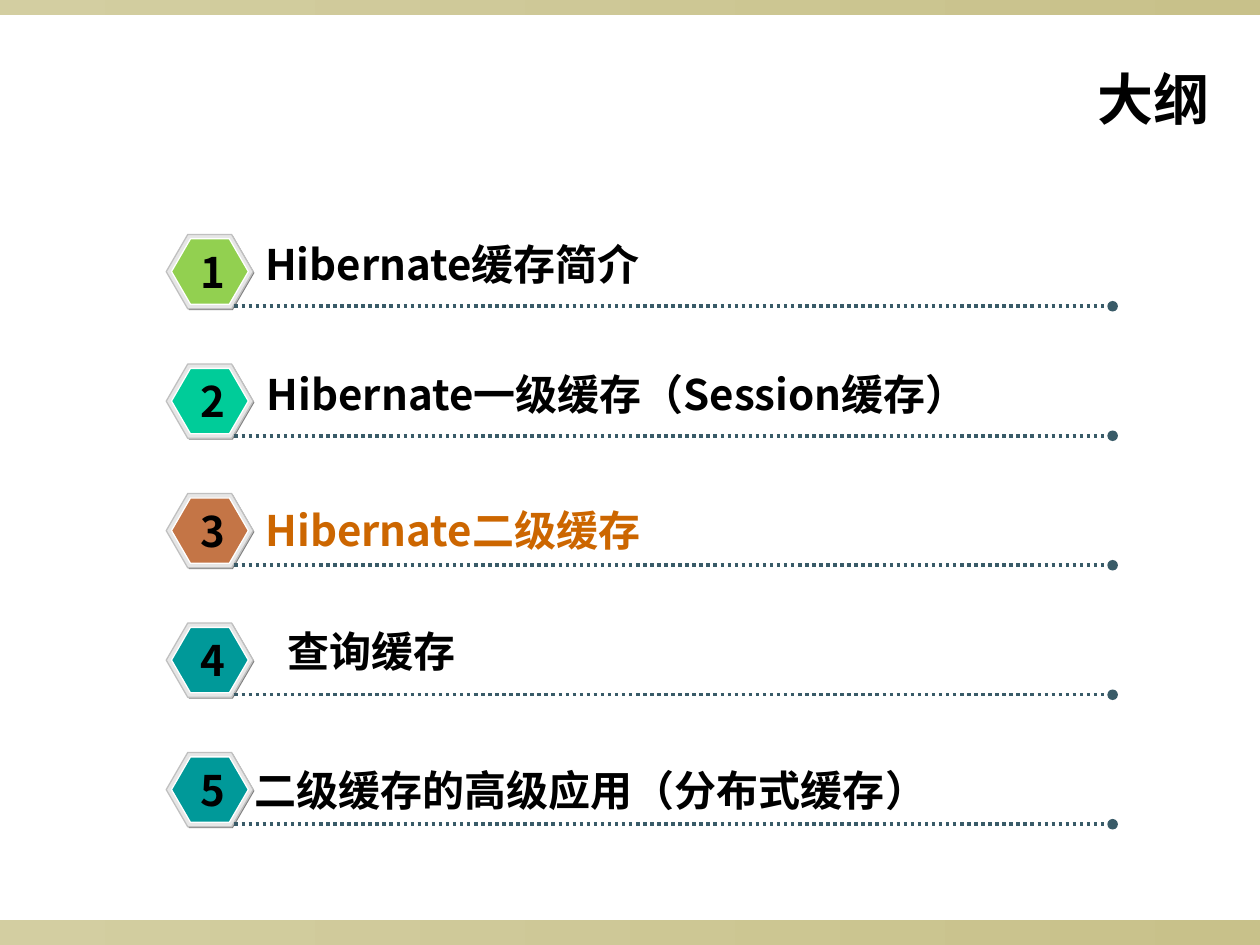
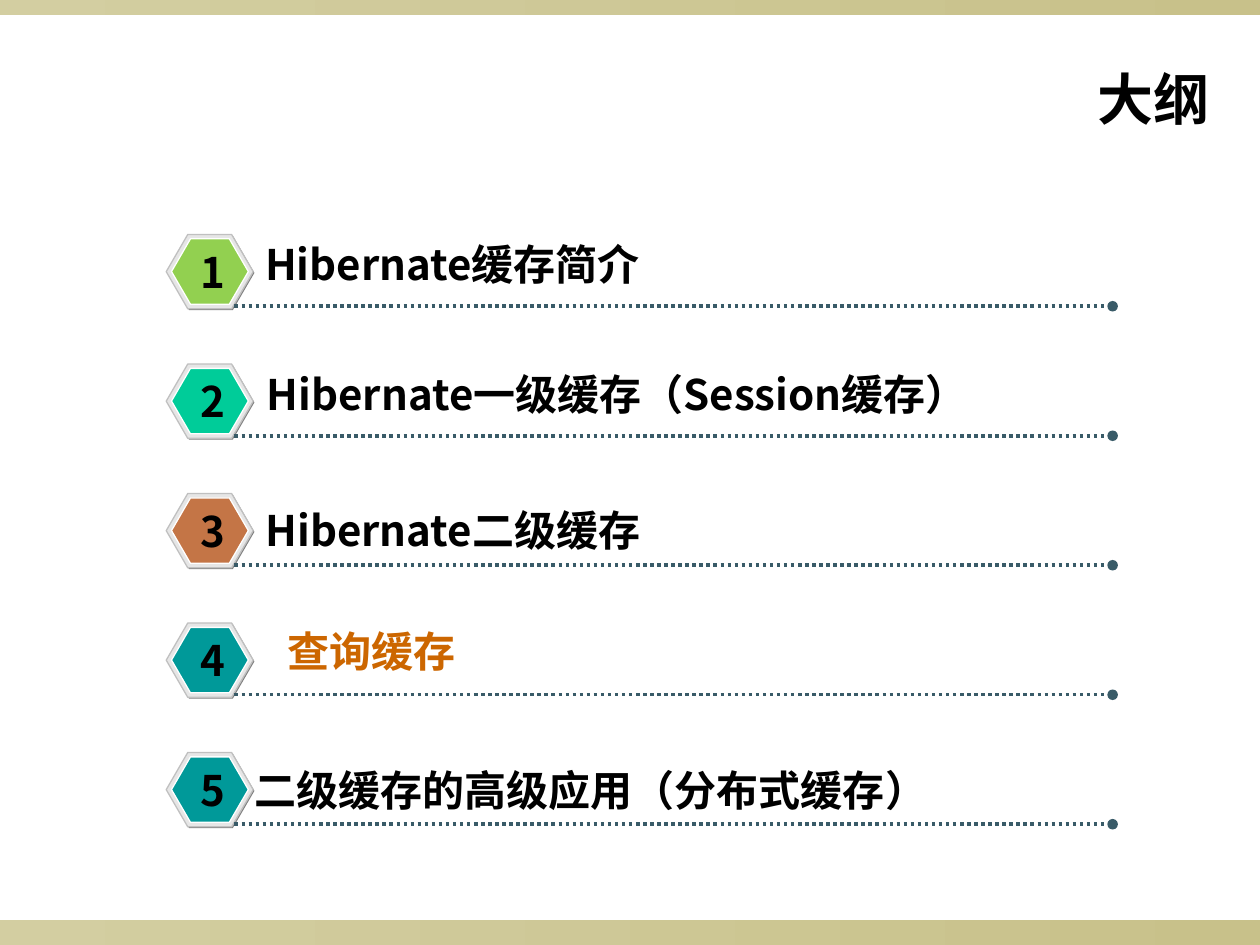
"""Build the two outline slides, each highlighting one chapter."""
from dataclasses import dataclass

from lxml import etree
from pptx import Presentation
from pptx.dml.color import RGBColor
from pptx.enum.dml import MSO_LINE
from pptx.enum.shapes import MSO_CONNECTOR, MSO_SHAPE
from pptx.enum.text import MSO_ANCHOR, MSO_AUTO_SIZE, PP_ALIGN
from pptx.oxml.ns import qn
from pptx.util import Pt

RECTANGLE = MSO_SHAPE.RECTANGLE
HEXAGON = MSO_SHAPE.HEXAGON
STRAIGHT = MSO_CONNECTOR.STRAIGHT
DOTTED = MSO_LINE.ROUND_DOT
MIDDLE = MSO_ANCHOR.MIDDLE
TOP = MSO_ANCHOR.TOP
RIGHT = PP_ALIGN.RIGHT
GROW = MSO_AUTO_SIZE.SHAPE_TO_FIT_TEXT
TITLE_ONLY = 5


@dataclass(frozen=True)
class Theme:
    text: str = "000000"
    highlight: str = "CC6600"
    band_start: str = "D3CEA1"
    band_end: str = "C8C18A"
    badge_shadow: str = "808080"
    badge_rim: str = "E6E6E6"
    badge_edge: str = "C0C0C0"
    badge_inner_edge: str = "FFFFFF"
    rule: str = "395B68"
    title_font: str = "Arial"
    body_font: str = "Noto Sans CJK SC"
    title_size: int = 32
    body_size: int = 24


@dataclass(frozen=True)
class Chapter:
    label: str
    color: str
    left: float
    rise: float


SLIDE_WIDTH, SLIDE_HEIGHT = 720, 540
TITLE = "大纲"
CHAPTERS = [
    Chapter("Hibernate缓存简介", "92D050", 144.4, -1.5),
    Chapter("Hibernate一级缓存（Session缓存）", "00CC99", 145.4, -1.2),
    Chapter("Hibernate二级缓存", "C47546", 144.7, 2.5),
    Chapter("查询缓存", "009999", 157.3, -1.8),
    Chapter("二级缓存的高级应用（分布式缓存）", "009999", 138.6, 3.4),
]
HIGHLIGHTED_CHAPTERS = [3, 4]
FIRST_ROW_TOP, ROW_STEP = 134, 74
BADGE_LEFT, BADGE_WIDTH, BADGE_HEIGHT = 95, 49.7, 42.5
NUMBER_LEFT, NUMBER_DROP, NUMBER_WIDTH = 107.2, 3.2, 25.2
RULE_LEFT, RULE_RIGHT, RULE_DROP = 134, 635.8, 41
LABEL_WIDTH, TEXT_HEIGHT = 480, 36


class OutlineDeck:
    def __init__(self, theme):
        self.theme = theme
        self.presentation = Presentation()
        self.presentation.slide_width = Pt(SLIDE_WIDTH)
        self.presentation.slide_height = Pt(SLIDE_HEIGHT)
        self.slide = None

    def add_slide(self):
        layout = self.presentation.slide_layouts[TITLE_ONLY]
        self.slide = self.presentation.slides.add_slide(layout)
        self.add_band(525.6, 14.4)
        self.add_band(0, 8.64)

    def add_band(self, top, height):
        band = self.slide.shapes.add_shape(RECTANGLE, 0, Pt(top), Pt(SLIDE_WIDTH), Pt(height))
        band.shadow.inherit = False
        band.line.fill.background()
        band.fill.gradient()
        band.fill.gradient_angle = 0
        colors = (self.theme.band_start, self.theme.band_end)
        for stop, color in zip(band.fill.gradient_stops, colors):
            stop.color.rgb = RGBColor.from_string(color)

    def format_text(self, paragraph, font_name, size, color):
        for run in paragraph.runs:
            font = run.font
            font.name = font_name
            font.size = Pt(size)
            font.bold = True
            font.color.rgb = RGBColor.from_string(color)
            east_asian = etree.SubElement(font._element, qn("a:ea"))
            east_asian.set("typeface", self.theme.body_font)

    def add_title(self, text):
        title = self.slide.shapes.title
        title.left, title.top, title.width, title.height = Pt(50.4), 0, Pt(648), Pt(111.6)
        frame = title.text_frame
        frame.text = text
        frame.vertical_anchor = MIDDLE
        frame.margin_left, frame.margin_right = Pt(8.64), Pt(7.2)
        paragraph = frame.paragraphs[0]
        paragraph.alignment = RIGHT
        self.format_text(paragraph, self.theme.title_font, self.theme.title_size, self.theme.text)

    def add_text(self, text, left, top, width, color):
        box = self.slide.shapes.add_textbox(Pt(left), Pt(top), Pt(width), Pt(TEXT_HEIGHT))
        frame = box.text_frame
        frame.text = text
        frame.word_wrap = True
        frame.auto_size = GROW
        frame.vertical_anchor = TOP
        self.format_text(frame.paragraphs[0], self.theme.body_font, self.theme.body_size, color)

    def add_hexagon(self, group, left, top, width, height, fill, edge=None):
        hexagon = group.shapes.add_shape(HEXAGON, Pt(left), Pt(top), Pt(width), Pt(height))
        hexagon.adjustments[0] = 0.29
        hexagon.shadow.inherit = False
        hexagon.fill.solid()
        hexagon.fill.fore_color.rgb = RGBColor.from_string(fill)
        if edge:
            hexagon.line.color.rgb = RGBColor.from_string(edge)
            hexagon.line.width = Pt(0.75)
        else:
            hexagon.line.fill.background()

    def add_badge(self, top, color):
        theme = self.theme
        group = self.slide.shapes.add_group_shape()
        outer_size = (BADGE_WIDTH, BADGE_HEIGHT)
        self.add_hexagon(group, BADGE_LEFT + 0.7, top + 0.7, *outer_size, theme.badge_shadow)
        self.add_hexagon(group, BADGE_LEFT, top, *outer_size, theme.badge_rim, theme.badge_edge)
        self.add_hexagon(group, BADGE_LEFT + 3, top + 2.5, BADGE_WIDTH - 5.8, BADGE_HEIGHT - 5.1,
                         color, theme.badge_inner_edge)

    def add_rule(self, y):
        rule = self.slide.shapes.add_connector(STRAIGHT, Pt(RULE_LEFT), Pt(y), Pt(RULE_RIGHT), Pt(y))
        rule.line.color.rgb = RGBColor.from_string(self.theme.rule)
        rule.line.width = Pt(2)
        rule.line.dash_style = DOTTED
        etree.SubElement(rule.get_or_add_ln(), qn("a:tailEnd")).set("type", "oval")
        etree.SubElement(rule.element.spPr, qn("a:effectLst"))

    def add_chapter(self, number, chapter, highlighted):
        top = FIRST_ROW_TOP + (number - 1) * ROW_STEP
        label_color = self.theme.highlight if highlighted else self.theme.text
        self.add_badge(top, chapter.color)
        self.add_rule(top + RULE_DROP)
        self.add_text(chapter.label, chapter.left, top + chapter.rise, LABEL_WIDTH, label_color)
        self.add_text(str(number), NUMBER_LEFT, top + NUMBER_DROP, NUMBER_WIDTH, self.theme.text)


def main():
    deck = OutlineDeck(Theme())
    for highlighted in HIGHLIGHTED_CHAPTERS:
        deck.add_slide()
        deck.add_title(TITLE)
        for number, chapter in enumerate(CHAPTERS, start=1):
            deck.add_chapter(number, chapter, number == highlighted)
    deck.presentation.save("out.pptx")


if __name__ == "__main__":
    main()
